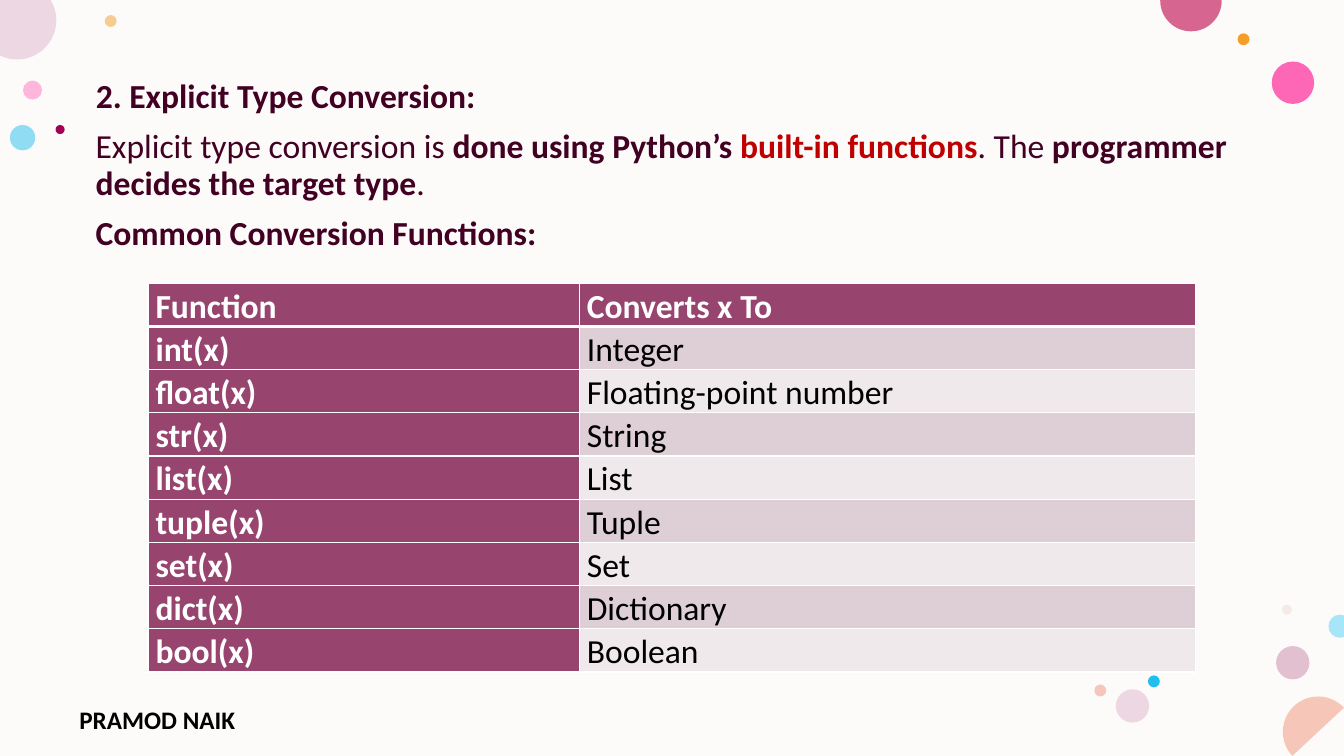
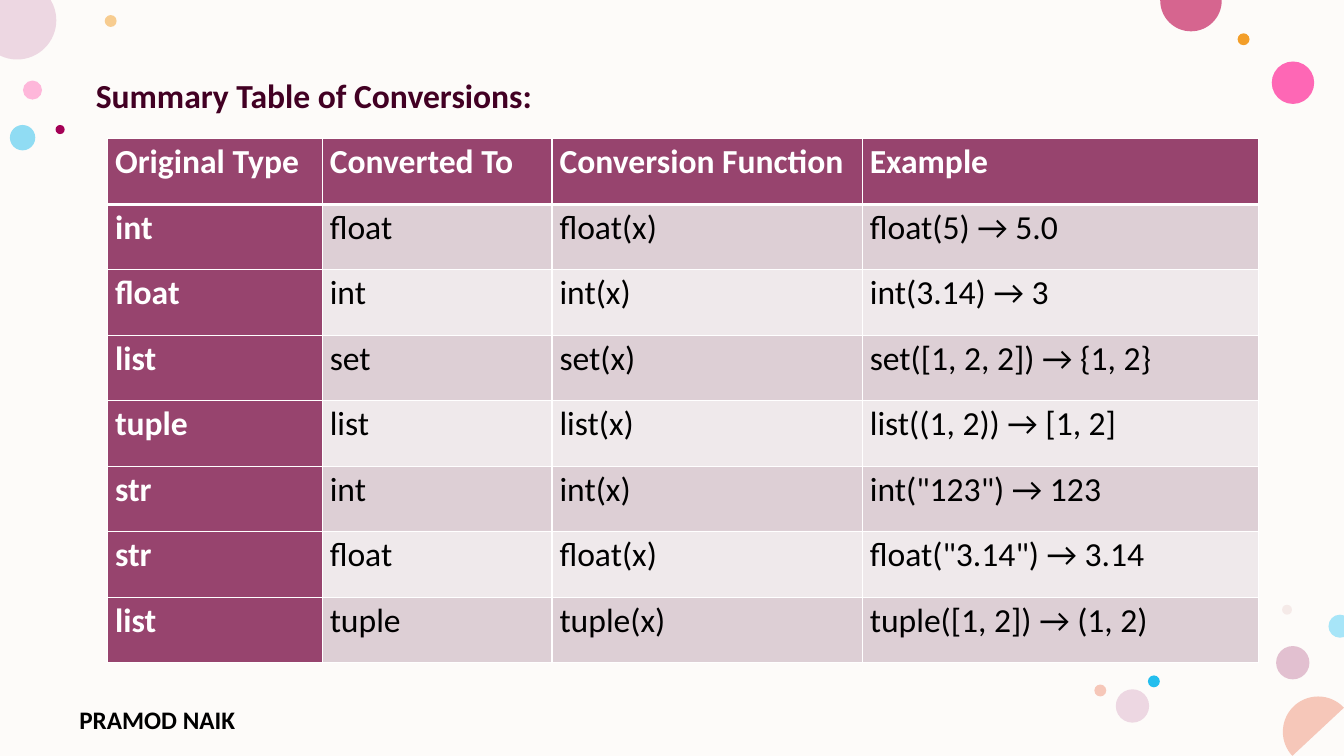
import math

from lxml import etree
from pptx import Presentation
from pptx import util as u
from pptx.dml.color import RGBColor
from pptx.enum import shapes, text
from pptx.oxml.ns import qn

SLIDE_WIDTH, SLIDE_HEIGHT = u.Cm(33.87), u.Cm(19.05)
FONT = "Calibri"
PAPER, INK, RED = "FDFBF9", "420023", "C00000"
BLACK, WHITE = "000000", "FFFFFF"
HEADER, BANDS = "97446E", ("DDCFD5", "EFE9EB")
TEXT_LEFT, TEXT_WIDTH = u.Cm(2.16), u.Cm(29.62)
FOOTER = "PRAMOD NAIK"

# left, top, diameter in cm, colour, opacity in percent
DOTS = [
    (0.58, 2.03, 0.48, "FF75BD", 50),
    (2.64, 0.38, 0.3, "F39E29", 50),
    (32.16, 16.28, 0.84, "C987A8", 50),
    (0.25, 3.15, 0.64, "24BEEE", 50),
    (32.05, 1.55, 1.07, "FF2F9C", 72),
    (31.19, 0.84, 0.3, "F39E29", 100),
    (32.31, 15.24, 0.25, "E3BEBE", 28),
    (28.93, 17.02, 0.3, "24BEEE", 100),
    (28.12, 17.37, 0.84, "EDD7E2", 100),
    (27.58, 17.25, 0.3, "F6C7B9", 100),
    (32.33, 17.55, 1.78, "F6C7B9", 100),
    (-0.56, -0.48, 1.98, "EDD7E2", 100),
    (29.24, -0.76, 1.55, "D6658F", 100),
    (1.4, 3.15, 0.23, "A40056", 100),
    (33.48, 15.49, 0.58, "A7E5F8", 100),
]

# Paragraphs are lists of runs: text, bold, colour
SLIDES = [
    {
        "title": "2. Explicit Type Conversion:",
        "paragraphs": [
            [
                ("Explicit type conversion is ", False, INK),
                ("done using Python’s ", True, INK),
                ("built-in functions", True, RED),
                (". The ", False, INK),
                ("programmer decides the target type", True, INK),
                (".", False, INK),
            ],
            [("Common Conversion Functions:", True, INK)],
        ],
        "table": {
            "at": (3.73, 7.14),
            "columns": (10.87, 15.52),
            "row_height": 1.06,
            "rows": [
                ("Function", "Converts x To"),
                ("int(x)", "Integer"),
                ("float(x)", "Floating-point number"),
                ("str(x)", "String"),
                ("list(x)", "List"),
                ("tuple(x)", "Tuple"),
                ("set(x)", "Set"),
                ("dict(x)", "Dictionary"),
                ("bool(x)", "Boolean"),
            ],
        },
    },
    {
        "title": "Summary Table of Conversions:",
        "paragraphs": [],
        "table": {
            "at": (2.71, 3.5),
            "columns": (5.41, 5.79, 7.82, 9.98),
            "row_height": 1.65,
            "rows": [
                ("Original Type", "Converted To", "Conversion Function", "Example"),
                ("int", "float", "float(x)", "float(5) → 5.0"),
                ("float", "int", "int(x)", "int(3.14) → 3"),
                ("list", "set", "set(x)", "set([1, 2, 2]) → {1, 2}"),
                ("tuple", "list", "list(x)", "list((1, 2)) → [1, 2]"),
                ("str", "int", "int(x)", 'int("123") → 123'),
                ("str", "float", "float(x)", 'float("3.14") → 3.14'),
                ("list", "tuple", "tuple(x)", "tuple([1, 2]) → (1, 2)"),
            ],
        },
    },
]


def paint(fill, colour, opacity=100):
    fill.solid()
    fill.fore_color.rgb = RGBColor.from_string(colour)
    if opacity < 100:
        srgb = fill._xPr.find(qn("a:solidFill")).find(qn("a:srgbClr"))
        etree.SubElement(srgb, qn("a:alpha"), val=str(opacity * 1000))


def paint_shape(shape, colour, opacity=100):
    paint(shape.fill, colour, opacity)
    shape.line.fill.background()
    shape.shadow.inherit = False


def style_font(font, colour, bold, size=24):
    font.name, font.size, font.bold = FONT, u.Pt(size), bold
    font.color.rgb = RGBColor.from_string(colour)


def add_text_box(slide, left, top, width, height):
    frame = slide.shapes.add_textbox(left, top, width, height).text_frame
    frame.word_wrap = True
    return frame


def on_slide(x, y):
    return 0 <= x <= SLIDE_WIDTH and 0 <= y <= SLIDE_HEIGHT


def add_cut_dot(slide, x, y, radius):
    """Draw the part of a circle that lies on the slide, with curved edges."""
    def at(degree, bend=0):
        angle = math.radians(degree)
        across = x + radius * (math.cos(angle) - bend * math.sin(angle))
        down = y + radius * (math.sin(angle) + bend * math.cos(angle))
        return (round(min(max(across, 0), SLIDE_WIDTH)),
                round(min(max(down, 0), SLIDE_HEIGHT)))

    def visible(degree):
        angle = math.radians(degree)
        return on_slide(x + radius * math.cos(angle), y + radius * math.sin(angle))

    start = next(d for d in range(360) if visible(d) and not visible(d - 1))
    end = next(d for d in range(start, start + 360) if not visible(d))
    stops = [start, *(d for d in range(start + 1, end) if d % 90 == 0), end]
    points = []
    for first, last in zip(stops, stops[1:]):
        bend = 4 / 3 * math.tan(math.radians(last - first) / 4)
        points += [at(first, bend), at(last, -bend), at(last)]
    corners = [(cx, cy) for cx in (0, SLIDE_WIDTH) for cy in (0, SLIDE_HEIGHT)
               if math.hypot(cx - x, cy - y) < radius]
    builder = slide.shapes.build_freeform(*at(start))
    builder.add_line_segments(points + corners, close=True)
    dot = builder.convert_to_shape()
    lines = list(dot.element.iter(qn("a:lnTo")))
    for index in range(0, len(points), 3):
        curve = etree.Element(qn("a:cubicBezTo"))
        lines[index].addprevious(curve)
        for line in lines[index:index + 3]:
            curve.append(line[0])
            line.getparent().remove(line)
    return dot


def add_dot(slide, left, top, diameter, colour, opacity):
    left, top, diameter = u.Cm(left), u.Cm(top), u.Cm(diameter)
    if on_slide(left, top) and on_slide(left + diameter, top + diameter):
        dot = slide.shapes.add_shape(
            shapes.MSO_SHAPE.OVAL, left, top, diameter, diameter)
    else:
        radius = diameter / 2
        dot = add_cut_dot(slide, left + radius, top + radius, radius)
    paint_shape(dot, colour, opacity)


def decorate_layout(layout, slide):
    """Draw the shared parts on the slide, then move them to its layout."""
    for placeholder in list(layout.placeholders)[1:]:
        layout.shapes.element.remove(placeholder.element)
    paper = slide.shapes.add_shape(
        shapes.MSO_SHAPE.RECTANGLE, 0, 0, SLIDE_WIDTH, SLIDE_HEIGHT)
    paint_shape(paper, PAPER)
    for dot in DOTS:
        add_dot(slide, *dot)
    frame = add_text_box(slide, u.Cm(1.75), u.Cm(17.63), u.Cm(6.22), u.Cm(0.81))
    frame.text = FOOTER
    style_font(frame.paragraphs[0].font, BLACK, True, 18)
    for shape in list(slide.shapes)[1:]:
        layout.shapes.element.append(shape.element)


def set_title(slide, words):
    title = slide.shapes.title
    title.left, title.top = TEXT_LEFT, u.Cm(1.88)
    title.width, title.height = TEXT_WIDTH, u.Cm(1.2)
    frame = title.text_frame
    frame.text = words
    frame.auto_size = text.MSO_AUTO_SIZE.NONE
    frame.vertical_anchor = text.MSO_ANCHOR.TOP
    paragraph = frame.paragraphs[0]
    paragraph.alignment = text.PP_ALIGN.LEFT
    paragraph.line_spacing = 0.9
    style_font(paragraph.font, INK, True)


def add_body(slide, paragraphs):
    frame = add_text_box(slide, TEXT_LEFT, u.Cm(3.15), TEXT_WIDTH, u.Cm(3.6))
    for index, runs in enumerate(paragraphs):
        paragraph = frame.add_paragraph() if index else frame.paragraphs[0]
        paragraph.line_spacing = 0.9
        paragraph.space_before = u.Pt(10 if index else 0)
        for words, bold, colour in runs:
            run = paragraph.add_run()
            run.text = words
            style_font(run.font, colour, bold)


def set_borders(cell, top, bottom):
    """Give a cell white borders; top and bottom are widths in points."""
    properties = cell._tc.get_or_add_tcPr()
    for side, width in (("L", 1), ("R", 1), ("T", top), ("B", bottom)):
        line = etree.SubElement(properties, qn("a:ln" + side), w=str(u.Pt(width)))
        fill = etree.SubElement(line, qn("a:solidFill"))
        etree.SubElement(fill, qn("a:srgbClr"), val=WHITE)


def add_conversion_table(slide, at, columns, row_height, rows):
    left, top = map(u.Cm, at)
    table = slide.shapes.add_table(
        len(rows), len(columns), left, top,
        u.Cm(sum(columns)), u.Cm(row_height * len(rows))).table
    table.first_col = True
    for column, width in zip(table.columns, columns):
        column.width = u.Cm(width)
    for row_index, row in enumerate(rows):
        table.rows[row_index].height = u.Cm(row_height)
        for column_index, words in enumerate(row):
            heading = row_index == 0 or column_index == 0
            cell = table.cell(row_index, column_index)
            cell.text = words
            cell.margin_left = cell.margin_right = u.Cm(0.19)
            cell.margin_top = cell.margin_bottom = 0
            set_borders(cell, 3 if row_index == 1 else 1, 3 if row_index == 0 else 1)
            paint(cell.fill, HEADER if heading else BANDS[(row_index - 1) % 2])
            paragraph = cell.text_frame.paragraphs[0]
            paragraph.line_spacing = 1.07
            paragraph.space_after = u.Pt(8)
            style_font(paragraph.font, WHITE if heading else BLACK, heading)


def main():
    presentation = Presentation()
    presentation.slide_width = SLIDE_WIDTH
    presentation.slide_height = SLIDE_HEIGHT
    layout = presentation.slide_layouts.get_by_name("Title Only")
    for index, content in enumerate(SLIDES):
        slide = presentation.slides.add_slide(layout)
        if index == 0:
            decorate_layout(layout, slide)
        set_title(slide, content["title"])
        if content["paragraphs"]:
            add_body(slide, content["paragraphs"])
        add_conversion_table(slide, **content["table"])
    presentation.save("out.pptx")


if __name__ == "__main__":
    main()
